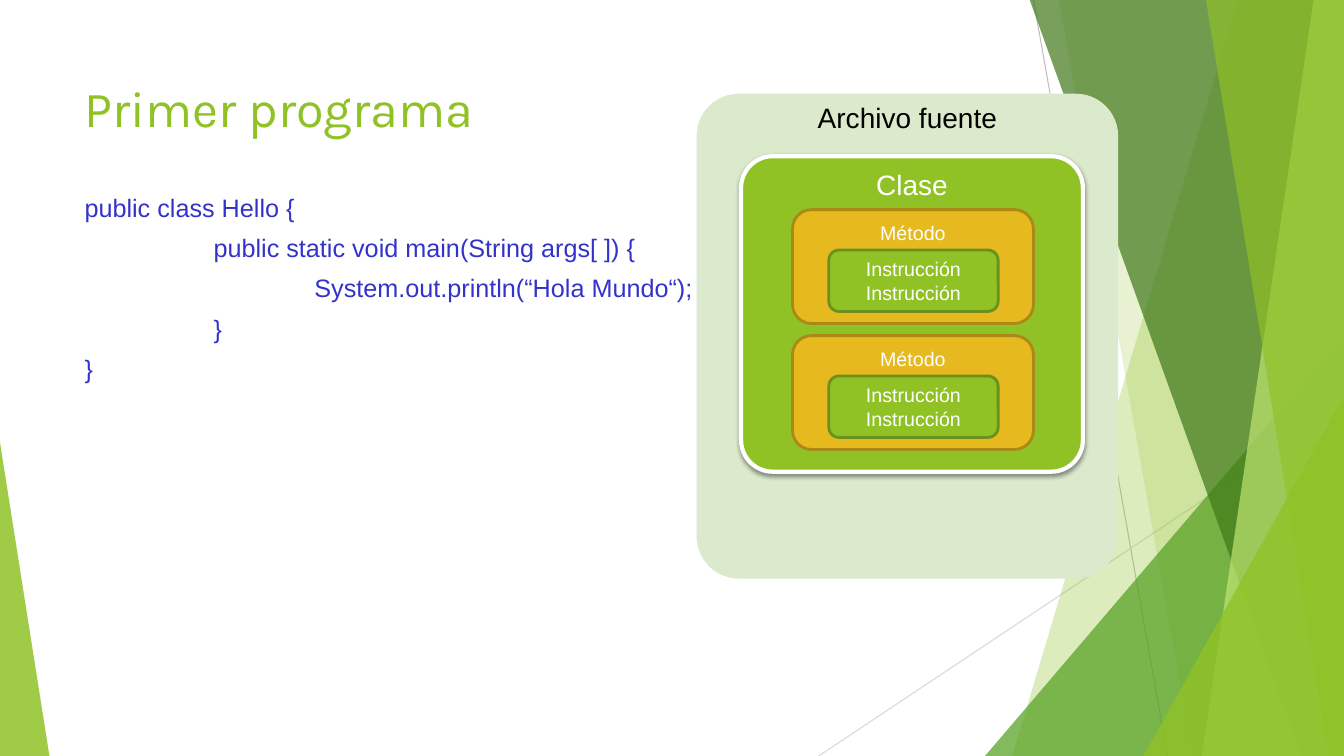
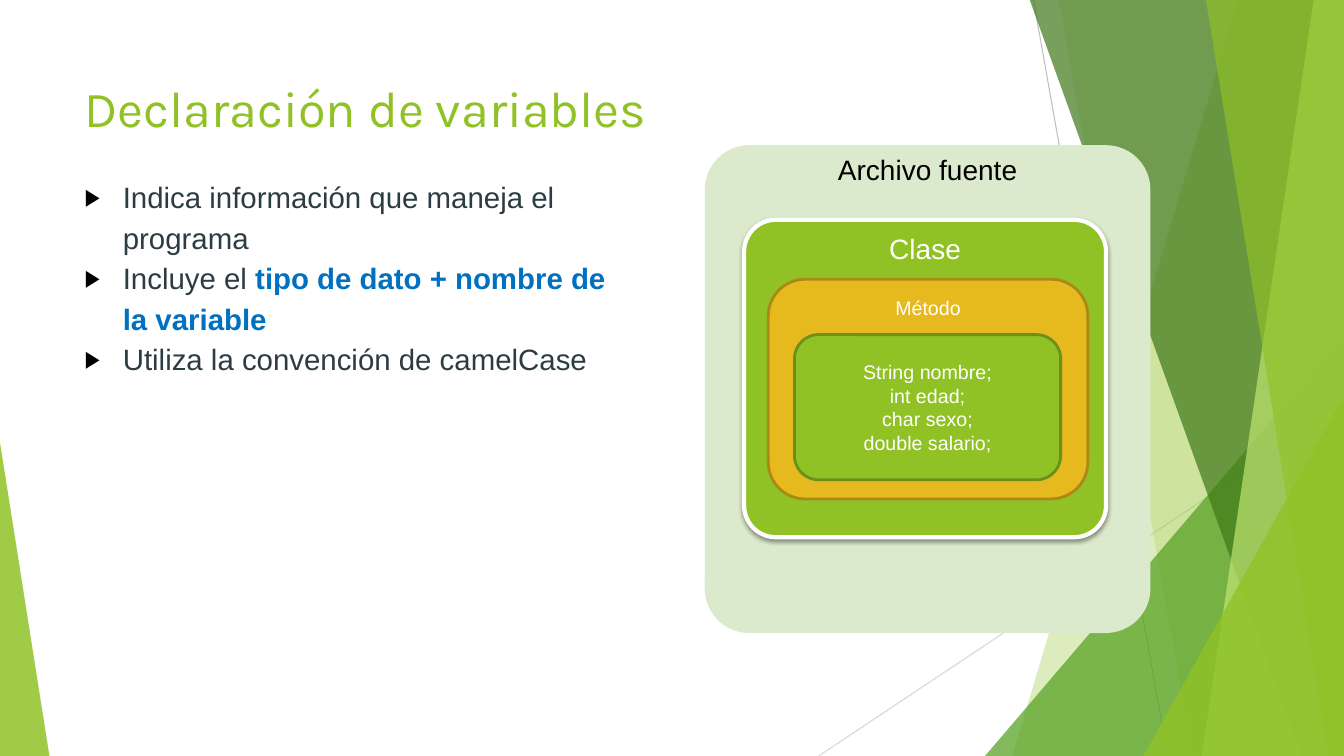
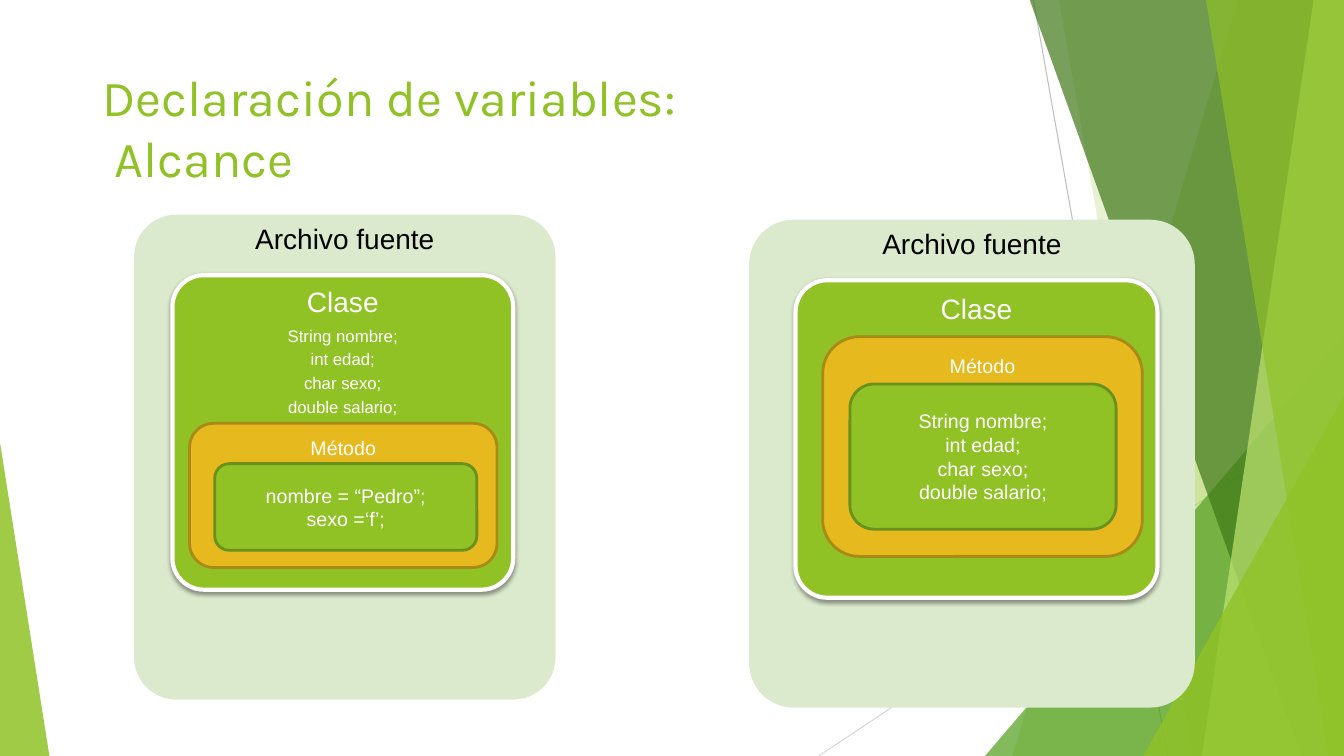
from dataclasses import dataclass

from lxml.etree import SubElement
from pptx import Presentation
from pptx.dml.color import RGBColor
from pptx.enum.shapes import MSO_CONNECTOR as Connector, MSO_SHAPE as Preset
from pptx.enum.text import MSO_ANCHOR as Anchor, PP_ALIGN as Align
from pptx.oxml.ns import qn
from pptx.util import Inches, Pt


@dataclass(frozen=True)
class Theme:
    """Colours, fonts and type sizes of the presentation."""
    green: str = "90C226"
    leaf: str = "54A021"
    forest: str = "3F7818"
    lime: str = "BFE471"
    pale: str = "DBE9CD"
    green_edge: str = "6B901C"
    amber: str = "E6B91E"
    amber_edge: str = "AA8916"
    white: str = "FFFFFF"
    black: str = "000000"
    code: str = "3333CC"
    text: str = "2C3C43"
    accent: str = "0070C0"
    grey: str = "BFBFBF"
    light_grey: str = "D8D8D8"
    title_font: str = "Karla"
    body_font: str = "Arial"
    title: int = 36
    bullet: int = 21
    heading: int = 20
    listing: int = 18
    label: int = 14
    field: int = 12


@dataclass(frozen=True)
class Box:
    """A rectangle in inches."""
    left: float
    top: float
    width: float
    height: float

    def inside(self, left, top, width, height):
        """Return a box placed relative to this one."""
        return Box(self.left + left, self.top + top, width, height)

    def lengths(self):
        """Return left, top, width and height as lengths."""
        return [Inches(value) for value in (self.left, self.top, self.width, self.height)]


THEME = Theme()
SLIDE_WIDTH, SLIDE_HEIGHT = 13.33, 7.5
DECOR_LINES = [
    ((10.25, 0), (11.58, SLIDE_HEIGHT), THEME.grey),
    ((SLIDE_WIDTH, 4.03), (8.12, SLIDE_HEIGHT), THEME.light_grey),
]
DECOR_FACETS = [
    ("band", (12.28, 10.04), THEME.green, 30),
    ("band", (10.5, 11.83), THEME.green, 20),
    ("triangle", (Box(9.77, 3.33, 3.56, 4.17), 1), THEME.leaf, 72),
    ("band", (10.21, 12.91), THEME.forest, 70),
    ("band", (13.03, 11.92), THEME.lime, 70),
    ("band", (11.96, 13.18), THEME.green, 65),
    ("triangle", (Box(11.34, 3.93, 1.99, 3.57), 1), THEME.green, 80),
    ("triangle", (Box(0, 4.39, 0.49, 3.11), 0), THEME.green, 85),
]
VARIABLES = ["String nombre;", "int edad;", "char sexo;", "double salario;"]


def apply(target, values):
    """Set each attribute of the target from a dict."""
    for name, value in values.items():
        setattr(target, name, value)


def colour(text):
    """Return an RGB colour from its hex text."""
    return RGBColor.from_string(text)


def paint(shape, fill, edge=None, width=2, opacity=100):
    """Give a shape its fill, outline and opacity, without a shadow."""
    shape.shadow.inherit = False
    shape.fill.solid()
    shape.fill.fore_color.rgb = colour(fill)
    if opacity < 100:
        solid = shape.fill._xPr.find(qn("a:solidFill"))
        SubElement(solid[0], qn("a:alpha"), val=str(opacity * 1000))
    if edge:
        shape.line.color.rgb = colour(edge)
        shape.line.width = Pt(width)
    else:
        shape.line.fill.background()


def drop_shadow(shape):
    """Add a soft shadow below a shape."""
    effects = shape._element.spPr.find(qn("a:effectLst"))
    shadow = SubElement(effects, qn("a:outerShdw"), blurRad=str(Pt(3.1)),
                        dist=str(Pt(1.6)), dir="5400000", rotWithShape="0")
    black = SubElement(shadow, qn("a:srgbClr"), val=THEME.black)
    SubElement(black, qn("a:alpha"), val="38000")


def set_frame(frame, margin=0.1, top=None, anchor=Anchor.TOP):
    """Set wrapping, anchor and insets of a text frame."""
    top = margin if top is None else top
    apply(frame, {
        "word_wrap": True, "vertical_anchor": anchor,
        "margin_left": Inches(margin), "margin_right": Inches(margin),
        "margin_top": Inches(top), "margin_bottom": Inches(margin),
    })


def add_paragraph(frame, runs, size, font=THEME.body_font, **layout):
    """Append a paragraph of (text, colour, bold) runs."""
    first = frame.paragraphs[0]
    paragraph = frame.add_paragraph() if first.runs else first
    apply(paragraph, layout)
    for text, ink, bold in runs:
        run = paragraph.add_run()
        run.text = text
        apply(run.font, {"name": font, "size": Pt(size), "bold": bold})
        run.font.color.rgb = colour(ink)
    return paragraph


def add_centred(frame, text, size, ink=THEME.white, **layout):
    """Append a centred line of one colour."""
    add_paragraph(frame, [(text, ink, False)], size, alignment=Align.CENTER, **layout)


def add_text_box(slide, box, **frame_values):
    """Add an empty text box and return its frame."""
    frame = slide.shapes.add_textbox(*box.lengths()).text_frame
    set_frame(frame, **frame_values)
    return frame


def add_rounded(slide, box, fill, edge=None, width=2, radius=0.1667):
    """Add a rounded rectangle."""
    shape = slide.shapes.add_shape(Preset.ROUNDED_RECTANGLE, *box.lengths())
    shape.adjustments[0] = radius
    paint(shape, fill, edge, width)
    return shape


def add_band(slide, top_left, bottom_left):
    """Add a slanted band that reaches the right edge of the slide."""
    corners = [(top_left, -0.01), (SLIDE_WIDTH, -0.01),
               (SLIDE_WIDTH, SLIDE_HEIGHT), (bottom_left, SLIDE_HEIGHT)]
    points = [(Inches(x), Inches(y)) for x, y in corners]
    builder = slide.shapes.build_freeform(*points[0])
    builder.add_line_segments(points[1:], close=True)
    return builder.convert_to_shape()


def add_triangle(slide, box, apex):
    """Add a triangle with its apex at a share of the width."""
    shape = slide.shapes.add_shape(Preset.ISOSCELES_TRIANGLE, *box.lengths())
    shape.adjustments[0] = apex
    return shape


def add_decor(slide):
    """Draw the lines and translucent facets shared by all slides."""
    for start, end, ink in DECOR_LINES:
        ends = [Inches(value) for value in start + end]
        line = slide.shapes.add_connector(Connector.STRAIGHT, *ends)
        line.line.color.rgb = colour(ink)
        line.line.width = Pt(0.75)
        SubElement(line._element.spPr, qn("a:effectLst"))
    makers = {"band": add_band, "triangle": add_triangle}
    for kind, geometry, fill, opacity in DECOR_FACETS:
        paint(makers[kind](slide, *geometry), fill, opacity=opacity)


def add_slide(presentation, title_lines, left=0.74, top=0.67):
    """Add a blank slide with the shared decoration and a title."""
    slide = presentation.slides.add_slide(presentation.slide_layouts[6])
    add_decor(slide)
    frame = add_text_box(slide, Box(left, top, 9.4, 1.44))
    for line in title_lines:
        add_paragraph(frame, [(line, THEME.green, False)], THEME.title, THEME.title_font)
    return slide


def add_code(slide, box, lines):
    """Write code lines, each with its indent in inches."""
    frame = add_text_box(slide, box)
    for indent, text in lines:
        paragraph = add_paragraph(frame, [(text, THEME.code, False)], THEME.listing,
                                  line_spacing=Pt(24.8), space_after=Pt(4))
        paragraph._p.get_or_add_pPr().set("marL", str(Inches(indent)))


def add_bullets(slide, box, items):
    """Write a list with triangular bullets."""
    frame = add_text_box(slide, box)
    for runs in items:
        paragraph = add_paragraph(frame, runs, THEME.bullet, line_spacing=Pt(28.9))
        properties = paragraph._p.get_or_add_pPr()
        properties.set("marL", str(Inches(0.38)))
        properties.set("indent", str(Inches(-0.38)))
        bullet_colour = SubElement(properties, qn("a:buClr"))
        SubElement(bullet_colour, qn("a:srgbClr"), val=THEME.black)
        SubElement(properties, qn("a:buSzPct"), val="80000")
        SubElement(properties, qn("a:buFont"), typeface=THEME.body_font)
        SubElement(properties, qn("a:buChar"), char="▶")


def add_class(slide, box, fields=()):
    """Draw the class block with its optional fields."""
    shape = add_rounded(slide, box, THEME.green, THEME.white, width=3, radius=0.1)
    drop_shadow(shape)
    frame = shape.text_frame
    set_frame(frame, margin=0.06, top=0 if fields else 0.02)
    add_centred(frame, "Clase", THEME.heading, space_after=Pt(2.5))
    for field in fields:
        add_centred(frame, field, THEME.field, line_spacing=Pt(17.1))


def add_method(slide, box, statement_place, statements):
    """Draw a method block with its statements inside."""
    method = add_rounded(slide, box, THEME.amber, THEME.amber_edge)
    set_frame(method.text_frame, top=0.06)
    add_centred(method.text_frame, "Método", THEME.label)
    body = add_rounded(slide, box.inside(*statement_place), THEME.green, THEME.green_edge)
    set_frame(body.text_frame, margin=0.05, anchor=Anchor.MIDDLE)
    for statement in statements:
        add_centred(body.text_frame, statement, THEME.label, line_spacing=Pt(16.9))


def add_source_file(slide, box, class_place, method_places, statement_place,
                    statements, fields=()):
    """Draw a source file holding a class, its methods and statements."""
    add_rounded(slide, box, THEME.pale, radius=0.1)
    heading = add_text_box(slide, box.inside(0, 0, box.width, 0.45), margin=0.07)
    add_centred(heading, "Archivo fuente", THEME.heading, THEME.black)
    class_box = box.inside(*class_place)
    add_class(slide, class_box, fields)
    for place in method_places:
        add_method(slide, class_box.inside(*place), statement_place, statements)


def build_first_program(presentation):
    """Build the slide with the first program."""
    slide = add_slide(presentation, ["Primer programa"])
    add_code(slide, Box(0.74, 1.76, 9.4, 4.99), [
        (0, "public class Hello {"),
        (1.28, "public static void main(String args[ ]) {"),
        (2.28, "System.out.println(“Hola Mundo“);"),
        (1.28, "}"),
        (0, "}"),
    ])
    add_source_file(
        slide, Box(6.91, 0.93, 4.18, 4.81), (0.44, 0.62, 3.39, 3.13),
        [(0.51, 0.53 + 1.25 * row, 2.39, 1.13) for row in range(2)],
        (0.36, 0.4, 1.68, 0.61), ["Instrucción"] * 2)


def build_declaration(presentation):
    """Build the slide on declaring variables."""
    slide = add_slide(presentation, ["Declaración de variables"])
    add_bullets(slide, Box(0.74, 1.63, 5.6, 4.84), [
        [("Indica información que maneja el programa", THEME.text, False)],
        [("Incluye el ", THEME.text, False),
         ("tipo de dato + nombre de la variable", THEME.accent, True)],
        [("Utiliza la convención de camelCase", THEME.text, False)],
    ])
    add_source_file(
        slide, Box(6.99, 1.44, 4.42, 4.84), (0.39, 0.74, 3.59, 3.15),
        [(0.24, 0.59, 3.17, 2.18)], (0.26, 0.55, 2.64, 1.44), VARIABLES)


def build_scope(presentation):
    """Build the slide comparing class scope and method scope."""
    slide = add_slide(presentation, ["Declaración de variables:", " Alcance"], 0.92, 0.56)
    add_source_file(
        slide, Box(7.43, 2.18, 4.42, 4.84), (0.46, 0.6, 3.59, 3.15),
        [(0.27, 0.56, 3.17, 2.18)], (0.27, 0.47, 2.64, 1.44), VARIABLES)
    add_source_file(
        slide, Box(1.33, 2.13, 4.18, 4.81), (0.38, 0.6, 3.38, 3.12),
        [(0.17, 1.47, 3.05, 1.43)], (0.25, 0.4, 2.6, 0.86),
        ["nombre = “Pedro”;", "sexo =‘f’;"], VARIABLES)


def main():
    """Build and save the presentation."""
    presentation = Presentation()
    apply(presentation, {"slide_width": Inches(SLIDE_WIDTH),
                         "slide_height": Inches(SLIDE_HEIGHT)})
    for build in (build_first_program, build_declaration, build_scope):
        build(presentation)
    presentation.save("out.pptx")


if __name__ == "__main__":
    main()
